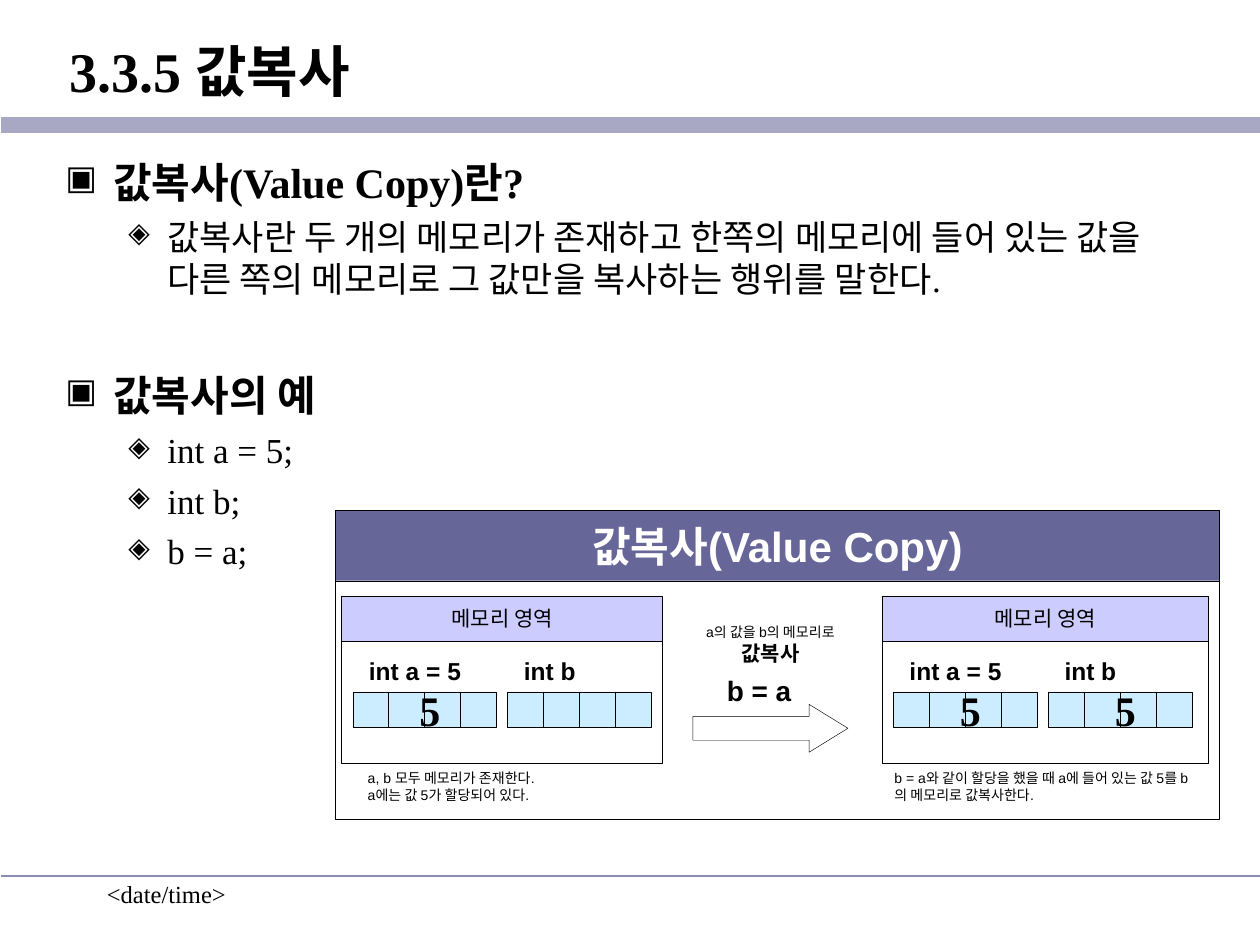
from lxml import etree
from pptx import Presentation
from pptx.dml.color import RGBColor
from pptx.enum.shapes import MSO_CONNECTOR, MSO_SHAPE as Kind
from pptx.enum.text import MSO_ANCHOR as Anchor, PP_ALIGN as Align
from pptx.oxml.ns import qn
from pptx.util import Inches, Pt

BLACK = RGBColor(0x00, 0x00, 0x00)
WHITE = RGBColor(0xFF, 0xFF, 0xFF)
INDIGO = RGBColor(0x66, 0x66, 0x99)
LILAC = RGBColor(0xCC, 0xCC, 0xFF)
SKY = RGBColor(0xCC, 0xEC, 0xFF)
BAND = RGBColor(0xA8, 0xA8, 0xC4)
RULE = RGBColor(0x8C, 0x8C, 0xB2)
SERIF = "Times New Roman"

deck = Presentation()
deck.slide_width, deck.slide_height = Inches(10), Inches(7.5)
slide = deck.slides.add_slide(deck.slide_layouts[6])
shapes = slide.shapes


def write(text, at=None, shape=None, size=12, font="Arial", color=BLACK,
          bold=False, align=Align.LEFT, anchor=Anchor.TOP, wrap=False):
    """Put lines of text in a shape, or in a new text box at the given place."""
    if shape is None:
        shape = shapes.add_textbox(*map(Inches, at))
    frame = shape.text_frame
    frame.word_wrap = wrap
    frame.vertical_anchor = anchor
    frame.text = text
    for par in frame.paragraphs:
        par.alignment = align
        for run in par.runs:
            run.font.size, run.font.name = Pt(size), font
            run.font.bold = bold
            run.font.color.rgb = color
    return frame


def draw(at, fill=None, kind=Kind.RECTANGLE):
    shape = shapes.add_shape(kind, *map(Inches, at))
    shape.shadow.inherit = False
    if fill is None:
        shape.fill.background()
    else:
        shape.fill.solid()
        shape.fill.fore_color.rgb = fill
    shape.line.color.rgb = BLACK
    shape.line.width = Pt(0.25)
    return shape


# Page rules, footer and title
for y, color, width in [(0.99, BAND, 9.25), (6.95, RULE, 1)]:
    line = shapes.add_connector(MSO_CONNECTOR.STRAIGHT, Inches(0.01), Inches(y),
                                Inches(10), Inches(y))
    line.line.color.rgb = color
    line.line.width = Pt(width)
    etree.SubElement(line._element.spPr, qn("a:effectLst"))
write("<date/time>", (0.75, 6.93, 2.08, 0.5), size=14, font=SERIF, wrap=True)
write("3.3.5 값복사", (0.45, 0.11, 9.55, 0.9), size=32, font=SERIF, bold=True,
      anchor=Anchor.MIDDLE, wrap=True)

# Body: level, space before, text
items = [
    (0, 0, "값복사(Value Copy)란?"),
    (1, 5, "값복사란 두 개의 메모리가 존재하고 한쪽의 메모리에 들어 있는 값을 "
           "다른 쪽의 메모리로 그 값만을 복사하는 행위를 말한다."),
    (0, 40, "값복사의 예"),
    (1, 5, "int a = 5;"),
    (1, 5, "int b;"),
    (1, 5, "b = a;"),
]
levels = [("▣", 0.38, -0.38, 24), ("◈", 0.81, -0.31, 20)]
body = write("\n".join(text for _, _, text in items), (0.42, 1.19, 9.16, 5.71),
             font=SERIF, wrap=True)
for par, (level, gap, _) in zip(body.paragraphs, items):
    mark, left, hang, size = levels[level]
    props = par._p.get_or_add_pPr()
    props.set("marL", str(Inches(left)))
    props.set("indent", str(Inches(hang)))
    tint = etree.SubElement(props, qn("a:buClr"))
    etree.SubElement(tint, qn("a:srgbClr"), val=str(BLACK))
    etree.SubElement(props, qn("a:buSzPct"), val="80000")
    etree.SubElement(props, qn("a:buChar"), char=mark)
    par.level = level
    par.space_before = Pt(gap)
    par.runs[0].font.size = Pt(size)
    par.runs[0].font.bold = level == 0

# Diagram frame and heading
draw((2.66, 4.6, 7.02, 1.9))
write("값복사(Value Copy)", shape=draw((2.66, 4.05, 7.02, 0.56), INDIGO), size=24,
      color=WHITE, bold=True, align=Align.CENTER, anchor=Anchor.MIDDLE)

# Memory areas before and after: left, width, first cell, values of a and b, note
areas = [
    (2.71, 2.55, 2.8, ("5", ""), 2.82,
     "a, b 모두 메모리가 존재한다.\na에는 값 5가 할당되어 있다."),
    (7, 2.59, 7.09, ("5", "5"), 7,
     "b = a와 같이 할당을 했을 때 a에 들어 있는 값 5를 b의 메모리로 값복사한다."),
]
CELL = 0.285
for left, width, start, values, edge, note in areas:
    draw((left, 5.09, width, 0.97), WHITE)
    write("메모리 영역", shape=draw((left, 4.73, width, 0.36), LILAC),
          align=Align.CENTER, anchor=Anchor.MIDDLE)
    names = [("int a = 5", 0.93), ("int b", 0.61)]
    for i, ((name, span), value) in enumerate(zip(names, values)):
        x = start + i * 1.23
        write(name, (x + 0.03, 5.16, span, 0.34), size=14, bold=True)
        for n in range(4):
            draw((x + n * CELL, 5.49, CELL, 0.28), SKY)
        if value:
            write(value, (x + 0.43, 5.38, 0.28, 0.5), size=24, font=SERIF,
                  bold=True, align=Align.CENTER)
    write(note, (edge, 6.06, width, 0.37), size=8, wrap=True)

# Copy step between the areas
arrow = draw((5.5, 5.59, 1.23, 0.38), WHITE, Kind.RIGHT_ARROW)
arrow.adjustments[0], arrow.adjustments[1] = 0.5, 0.81
write("b = a", (5.67, 5.3, 0.71, 0.37), size=16, bold=True)
step = write("a의 값을 b의 메모리로\n값복사", (5.31, 4.86, 1.61, 0.51), size=8,
             align=Align.CENTER, anchor=Anchor.MIDDLE)
strong = step.paragraphs[1].runs[0].font
strong.size, strong.bold = Pt(12), True

deck.save("out.pptx")
